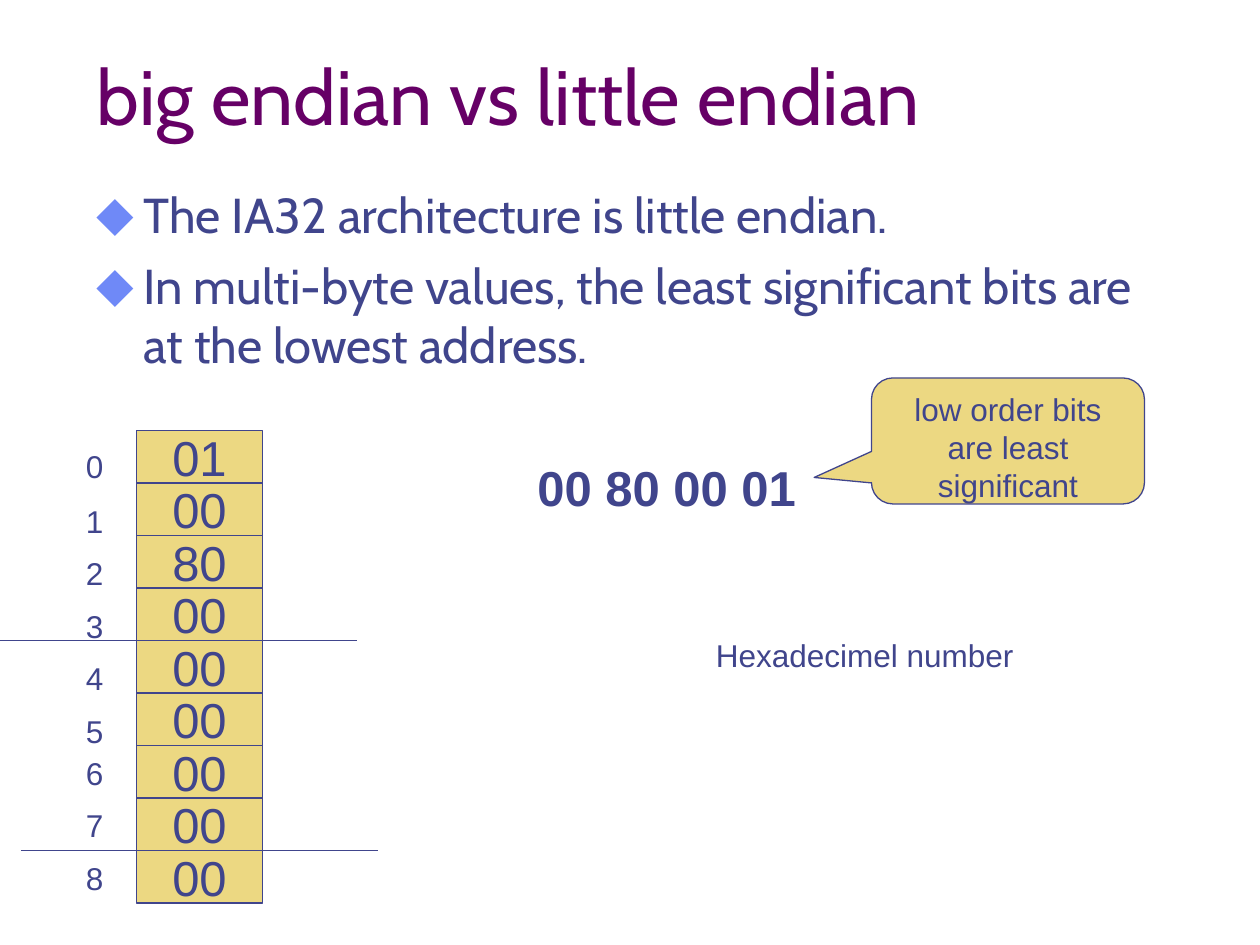
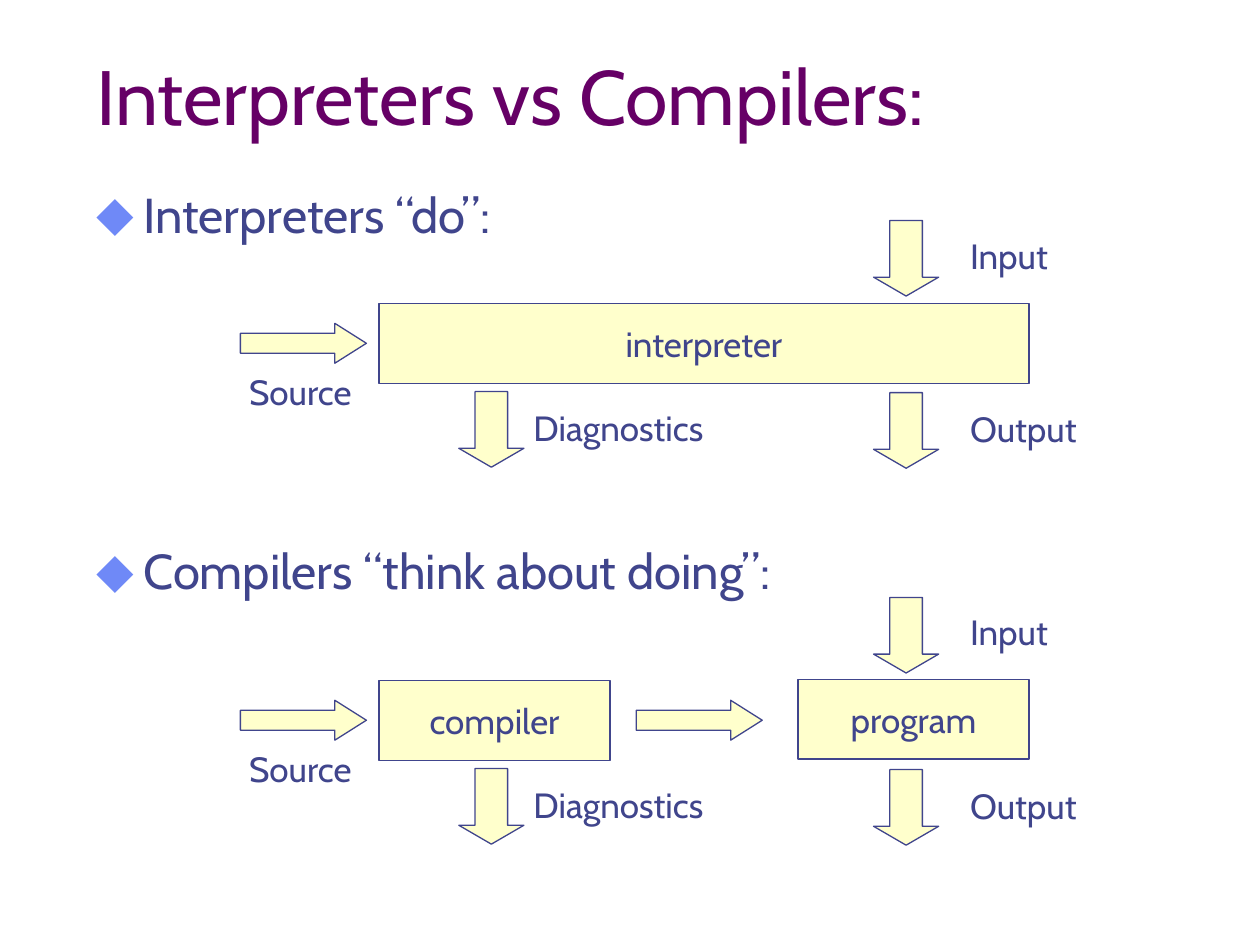
import lxml.etree
import pptx
import pptx.dml.color
import pptx.enum.shapes
import pptx.enum.text
import pptx.oxml.ns
import pptx.util

SCALE = 7620
INK, PLUM, BLUE = "40458C", "660066", "6F89F7"
SAND, CREAM = "ECD882", "FFFFCC"
HEADING_FONT, PLAIN_FONT = "Cabin", "Arial"

SHAPE = pptx.enum.shapes.MSO_SHAPE
ALIGN = pptx.enum.text.PP_ALIGN
ANCHOR = pptx.enum.text.MSO_ANCHOR


def px(length):
    return pptx.util.Emu(length * SCALE)


def color(hex_code):
    return pptx.dml.color.RGBColor.from_string(hex_code)


def add_xml(parent, tag, **attributes):
    return lxml.etree.SubElement(parent, pptx.oxml.ns.qn(tag), attributes)


class Deck:
    def __init__(self, width, height):
        self.presentation = pptx.Presentation()
        self.presentation.slide_width = px(width)
        self.presentation.slide_height = px(height)
        self.slide = None

    def new_slide(self, title):
        layout = self.presentation.slide_layouts[6]
        self.slide = self.presentation.slides.add_slide(layout)
        self.text(title, 80, 40, 1020, 100, size=44, ink=PLUM, anchor=ANCHOR.BOTTOM)

    def style(self, paragraph, size, font, ink=INK, bold=False):
        paragraph.font.size = pptx.util.Pt(size)
        paragraph.font.name = font
        paragraph.font.bold = bold
        paragraph.font.color.rgb = color(ink)

    def frame(self, left, top, width, height):
        box = self.slide.shapes.add_textbox(px(left), px(top), px(width), px(height))
        box.text_frame.word_wrap = True
        return box.text_frame

    def text(self, words, left, top, width, height, size, font=HEADING_FONT,
             ink=INK, bold=False, align=ALIGN.LEFT, anchor=ANCHOR.TOP):
        frame = self.frame(left, top, width, height)
        frame.vertical_anchor = anchor
        paragraph = frame.paragraphs[0]
        paragraph.text = words
        paragraph.alignment = align
        self.style(paragraph, size, font, ink, bold)

    def bullets(self, items, height, gap):
        frame = self.frame(80, 170, 1030, height)
        for index, item in enumerate(items):
            paragraph = frame.add_paragraph() if index else frame.paragraphs[0]
            paragraph.text = item
            if index:
                paragraph.space_before = pptx.util.Pt(gap)
            properties = paragraph._p.get_or_add_pPr()
            properties.set("marL", str(px(45)))
            properties.set("indent", str(px(-45)))
            add_xml(add_xml(properties, "a:buClr"), "a:srgbClr", val=BLUE)
            add_xml(properties, "a:buSzPct", val="110000")
            add_xml(properties, "a:buFont", typeface=PLAIN_FONT)
            add_xml(properties, "a:buChar", char="⬥")
            self.style(paragraph, 28, HEADING_FONT)

    def shape(self, kind, left, top, width, height, fill, words="", size=20,
              font=HEADING_FONT, anchor=ANCHOR.MIDDLE, adjustments=()):
        shape = self.slide.shapes.add_shape(kind, px(left), px(top), px(width), px(height))
        shape.shadow.inherit = False
        shape.fill.solid()
        shape.fill.fore_color.rgb = color(fill)
        shape.line.color.rgb = color(INK)
        shape.line.width = pptx.util.Pt(0.75)
        for index, value in enumerate(adjustments):
            shape.adjustments[index] = value
        if words:
            shape.text_frame.vertical_anchor = anchor
            paragraph = shape.text_frame.paragraphs[0]
            paragraph.text = words
            paragraph.alignment = ALIGN.CENTER
            self.style(paragraph, size, font)

    def right_arrow(self, left, top):
        self.shape(SHAPE.RIGHT_ARROW, left, top, 120, 38, CREAM, adjustments=(0.5, 0.79))

    def down_arrow(self, left, top):
        self.shape(SHAPE.DOWN_ARROW, left, top, 62, 72, CREAM, adjustments=(0.5, 0.29))

    def rule(self, left, right, y):
        line = self.slide.shapes.add_connector(
            pptx.enum.shapes.MSO_CONNECTOR.STRAIGHT, px(left), px(y), px(right), px(y))
        line.line.color.rgb = color(INK)
        line.line.width = pptx.util.Pt(0.75)
        add_xml(line._element.spPr, "a:effectLst")


def endian_slide(deck):
    deck.new_slide("big endian vs little endian")
    deck.bullets(["The IA32 architecture is little endian.",
                  "In multi-byte values, the least significant bits are at the lowest address."],
                 height=200, gap=7)

    memory = ["01", "00", "80"] + ["00"] * 6
    for address, byte in enumerate(memory):
        deck.shape(SHAPE.RECTANGLE, 130, 410 + 50 * address, 120, 50, SAND,
                   byte, size=28, font=PLAIN_FONT)

    deck.text("00 80 00 01", 500, 430, 280, 68, size=28, font=PLAIN_FONT, bold=True)
    deck.text("Hexadecimel number", 670, 600, 370, 48, size=18, font=PLAIN_FONT)
    deck.shape(SHAPE.ROUNDED_RECTANGULAR_CALLOUT, 830, 360, 260, 120, SAND,
               "low order bits are least significant", size=18, font=PLAIN_FONT,
               anchor=ANCHOR.TOP, adjustments=(-0.71, 0.29, 0.17))

    deck.rule(0, 340, 610)
    deck.rule(20, 360, 810)

    address_tops = [420, *range(472, 673, 50), *range(712, 813, 50)]
    for address, top in enumerate(address_tops):
        deck.text(str(address), 70, top, 80, 48, size=18, font=PLAIN_FONT)


def translation_flow(deck, offset):
    deck.right_arrow(229, 308 + offset)
    for left, top in ((437, 373), (832, 210), (832, 374)):
        deck.down_arrow(left, top + offset)
    for label, left, top, width, align in (
            ("Source", 223, 347, 126, ALIGN.CENTER),
            ("Diagnostics", 490, 381, 198, ALIGN.CENTER),
            ("Input", 912, 217, 198, ALIGN.LEFT),
            ("Output", 912, 382, 198, ALIGN.LEFT)):
        deck.text(label, left, top + offset, width, 53, size=20, align=align)


def translators_slide(deck):
    deck.new_slide("Interpreters vs Compilers:")
    deck.bullets(["Interpreters “do”:", "Compilers “think about doing”:"],
                 height=670, gap=170)

    compiler_offset = 359
    for offset in (0, compiler_offset):
        translation_flow(deck, offset)
    deck.right_arrow(606, 308 + compiler_offset)

    for stage, left, top, width in (("interpreter", 361, 289, 619),
                                    ("compiler", 361, 648, 220),
                                    ("program", 760, 647, 220)):
        deck.shape(SHAPE.RECTANGLE, left, top, width, 76, CREAM, stage)


def main():
    deck = Deck(1200, 900)
    endian_slide(deck)
    translators_slide(deck)
    deck.presentation.save("out.pptx")


if __name__ == "__main__":
    main()
